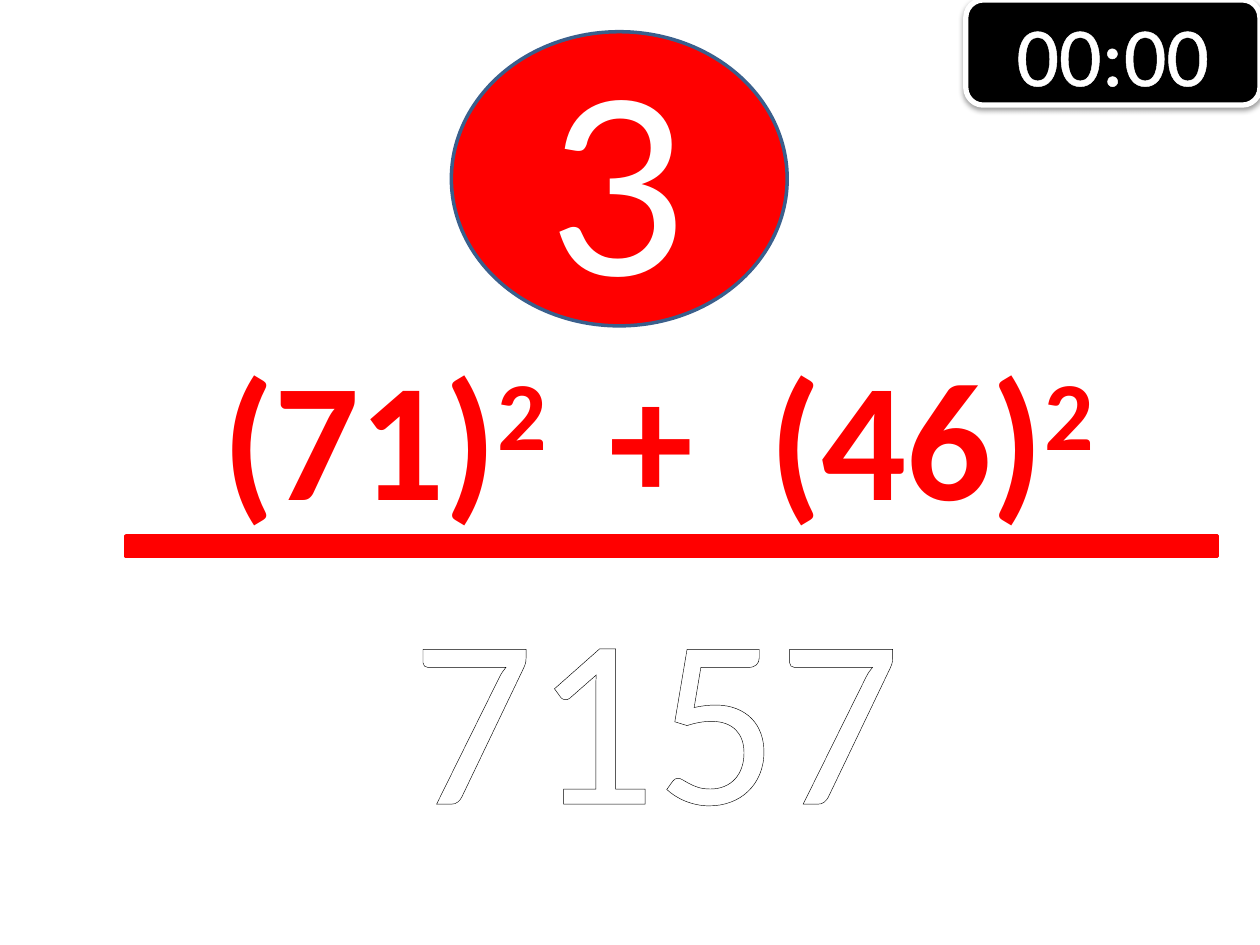
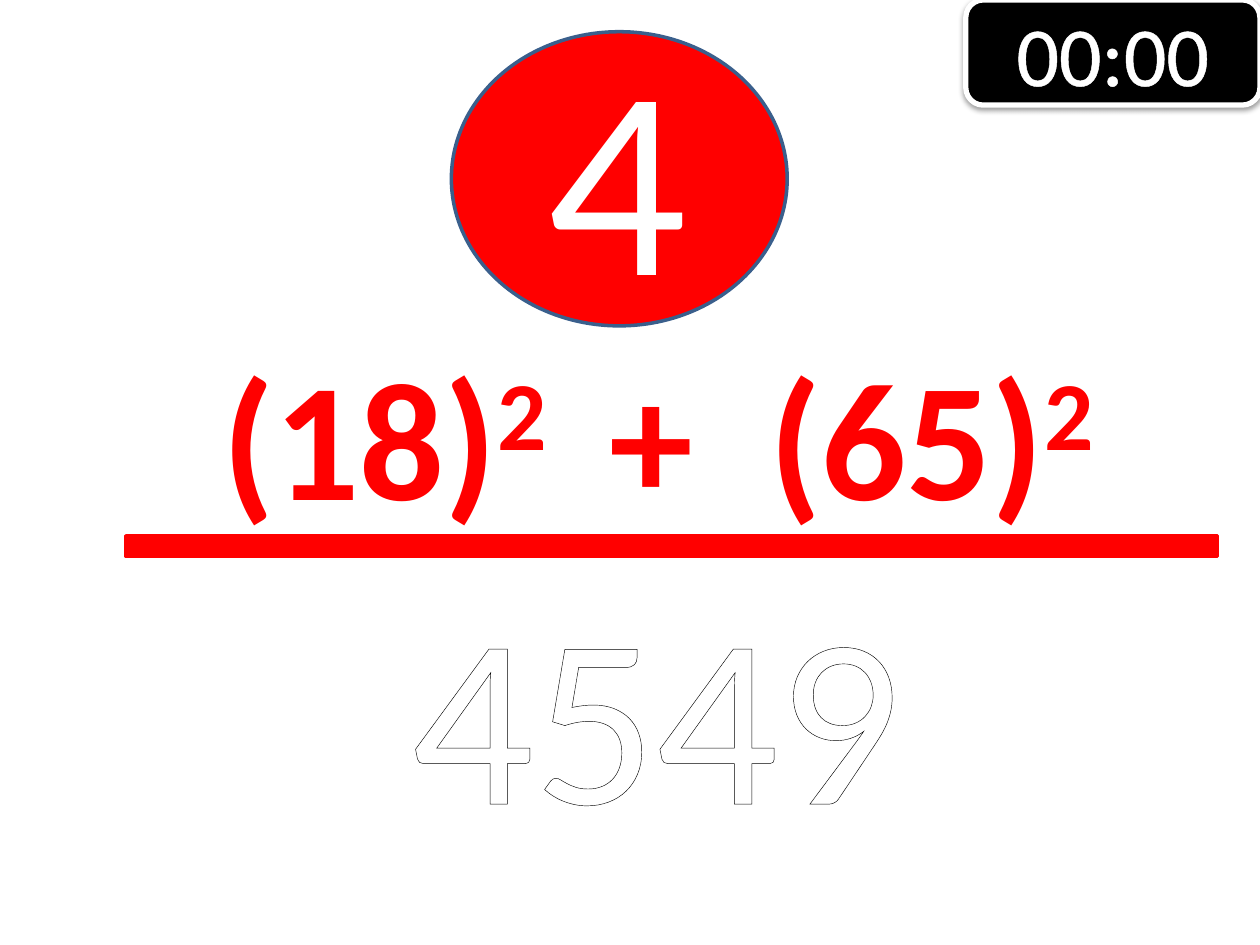
from lxml.etree import SubElement
from pptx import Presentation
from pptx.dml.color import RGBColor
from pptx.enum.shapes import MSO_SHAPE
from pptx.enum.text import MSO_ANCHOR, MSO_AUTO_SIZE, PP_ALIGN
from pptx.oxml import parse_xml
from pptx.oxml.ns import nsdecls, qn
from pptx.util import Cm, Pt

COLORS = {"red": "FF0000", "white": "FFFFFF", "black": "000000", "rim": "3A5F8C"}
FORMATS = {
    "number": {"size": Pt(138), "name": "Lato"},
    "timer": {"size": Pt(48), "name": "Calibri"},
    "equation": {"size": Pt(96), "name": "Calibri", "bold": True},
    "answer": {"size": Pt(138), "name": "Calibri"},
}
# Left, top, width and height in centimetres
BOXES = {
    "number": (9.1, 0.64, 6.77, 5.93),
    "timer": (19.47, 0, 5.93, 2.12),
    "equation": (4.23, 6.56, 18.57, 4.37),
    "bar": (2.54, 10.8, 22.01, 0.42),
    "answer": (7.83, 11.22, 10.8, 6.14),
}
QUESTIONS = [("3", "71", "46", "7157"), ("4", "18", "65", "4549")]


def color(name):
    """Return a named colour of the deck."""
    return RGBColor.from_string(COLORS[name])


def add_span(para, text, style, ink, outline=None, raised=False, spacing=0):
    """Add a formatted run; spacing is extra letter spacing in points."""
    span = para.add_run()
    span.text = text
    for key, value in FORMATS[style].items():
        setattr(span.font, key, value)
    span.font.color.rgb = color(ink)
    props = span.font._element
    if raised:
        props.set("baseline", "30000")
    if spacing:
        props.set("spc", str(round(spacing * 100)))
    if outline:
        props.insert(0, parse_xml(
            f'<a:ln {nsdecls("a")} w="18415"><a:solidFill>'
            f'<a:srgbClr val="{COLORS[outline]}"/></a:solidFill></a:ln>'))


def add_panel(page, box, kind, fill, line, width):
    """Add a filled, outlined preset shape without a shadow."""
    panel = page.shapes.add_shape(kind, *map(Cm, box))
    panel.shadow.inherit = False
    panel.fill.solid()
    panel.fill.fore_color.rgb = color(fill)
    panel.line.color.rgb = color(line)
    panel.line.width = Pt(width)
    return panel


def add_text_box(page, box, **frame_format):
    """Add a text box that grows with its text and return its paragraph."""
    frame = page.shapes.add_textbox(*map(Cm, box)).text_frame
    for key, value in frame_format.items():
        setattr(frame, key, value)
    frame.auto_size = MSO_AUTO_SIZE.SHAPE_TO_FIT_TEXT
    return frame.paragraphs[0]


def add_number(page, box, number):
    """Draw the question number in its red oval."""
    oval = add_panel(page, box, MSO_SHAPE.OVAL, "red", "rim", 2)
    para = oval.text_frame.paragraphs[0]
    para.alignment = PP_ALIGN.CENTER
    add_span(para, number, "number", "white")


def add_timer(page, box):
    """Draw the black timer with its soft shadow."""
    timer = add_panel(page, box, MSO_SHAPE.ROUNDED_RECTANGLE, "black", "white", 3)
    effects = timer._element.spPr.find(qn("a:effectLst"))
    shadow = SubElement(effects, qn("a:outerShdw"), blurRad=str(Pt(3.1)),
                        dist=str(Pt(1.6)), dir="5400000", rotWithShape="0")
    shade = SubElement(shadow, qn("a:srgbClr"), val=COLORS["black"])
    SubElement(shade, qn("a:alpha"), val="38000")
    para = timer.text_frame.paragraphs[0]
    para.alignment = PP_ALIGN.CENTER
    add_span(para, "00:00", "timer", "white", "white")


def add_equation(page, box, first, second):
    """Write the sum of two squares, with widened gaps around the plus."""
    para = add_text_box(page, box, word_wrap=False, vertical_anchor=MSO_ANCHOR.MIDDLE)
    para.alignment = PP_ALIGN.JUSTIFY
    spans = [(f"({first})", False, 0), ("2", True, 0), (" ", False, 14.3),
             ("+", False, 0), (" ", False, 21.7),
             (f"({second})", False, 0), ("2", True, 0)]
    for text, raised, spacing in spans:
        add_span(para, text, "equation", "red", "red", raised, spacing)


def add_answer(page, box, answer):
    """Write the answer in outlined white digits."""
    para = add_text_box(page, box, word_wrap=True)
    para.alignment = PP_ALIGN.CENTER
    add_span(para, answer, "answer", "white", "black")


def add_question(deck, number, first, second, answer):
    """Build one question slide."""
    page = deck.slides.add_slide(deck.slide_layouts[6])
    add_number(page, BOXES["number"], number)
    add_timer(page, BOXES["timer"])
    add_equation(page, BOXES["equation"], first, second)
    add_panel(page, BOXES["bar"], MSO_SHAPE.RECTANGLE, "red", "red", 2)
    add_answer(page, BOXES["answer"], answer)


deck = Presentation()
deck.slide_width, deck.slide_height = Cm(25.4), Cm(19.05)
for question in QUESTIONS:
    add_question(deck, *question)
deck.save("out.pptx")
